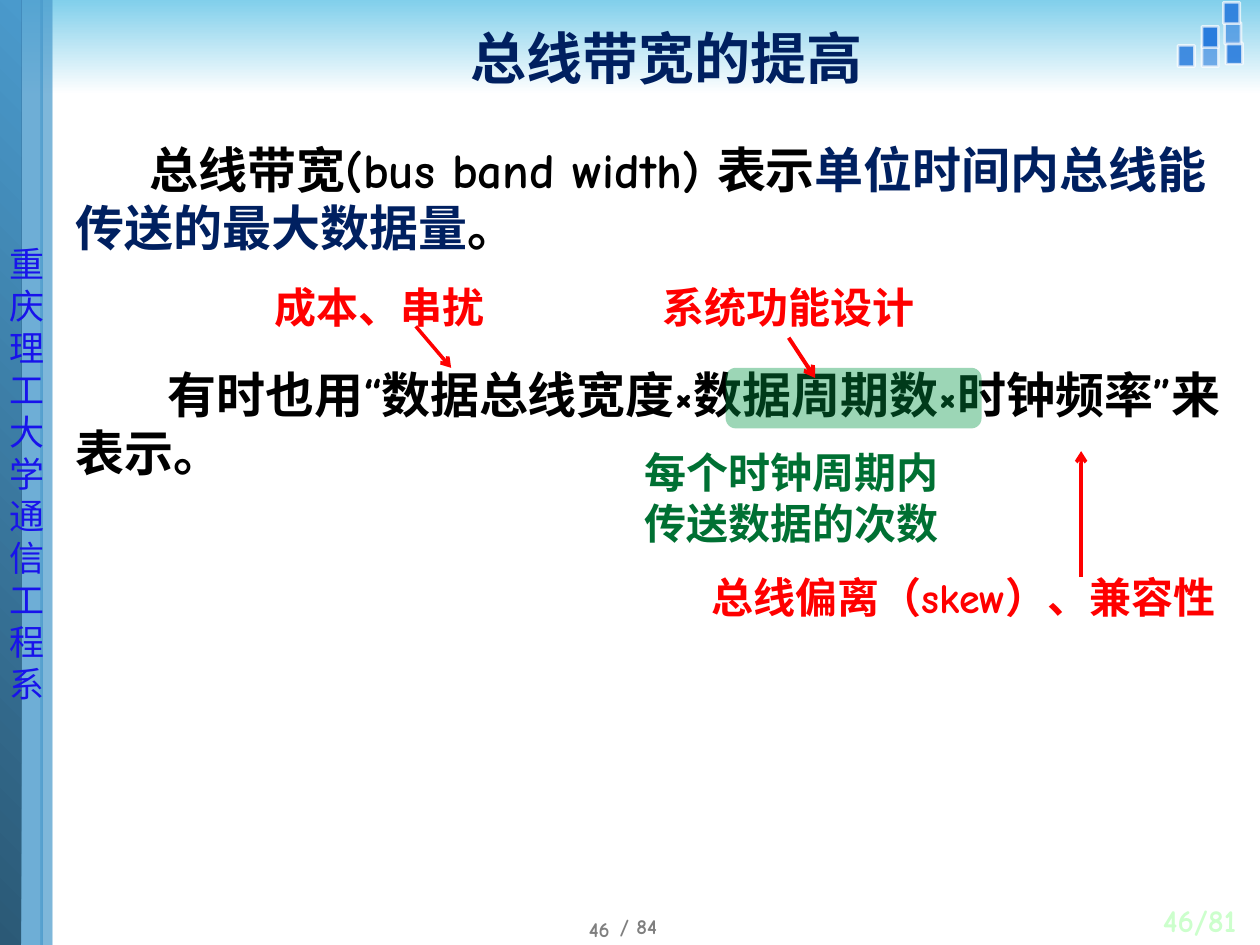
"""Build the slide on raising bus bandwidth."""
from dataclasses import dataclass
from typing import NamedTuple, Optional

from pptx import Presentation
from pptx.dml.color import RGBColor
from pptx.enum.shapes import MSO_CONNECTOR, MSO_SHAPE
from pptx.enum.text import MSO_ANCHOR, PP_ALIGN
from pptx.oxml.ns import qn
from pptx.util import Pt
from lxml.etree import SubElement


@dataclass(frozen=True)
class Theme:
    font: str = "Comic Neue"
    side_font: str = "Noto Sans CJK SC"
    sky: str = "81CFEB"
    white: str = "FFFFFF"
    tile: str = "297CDD"
    band: str = "4A9ACC"
    deep: str = "2B5976"
    side_ink: str = "1813EB"
    navy: str = "002060"
    black: str = "000000"
    red: str = "FF0000"
    green: str = "007033"
    highlight: str = "009644"
    grey: str = "7F7F7F"
    pale: str = "CCFFCC"
    title: float = 32
    body: float = 28
    note: float = 24
    side: float = 20
    count: float = 18
    page: float = 12


THEME = Theme()


class Box(NamedTuple):
    left: float
    top: float
    width: float
    height: float


class Span(NamedTuple):
    text: str
    color: str


@dataclass(frozen=True)
class Panel:
    box: Box
    color: str
    opacity: int = 100
    fade_to: Optional[str] = None
    angle: float = 0
    outline: Optional[str] = None
    rounded: bool = False


@dataclass(frozen=True)
class Label:
    box: Box
    paragraphs: tuple[tuple[Span, ...], ...]
    size: float
    font: str = THEME.font
    bold: bool = True
    align: PP_ALIGN = PP_ALIGN.LEFT
    anchor: MSO_ANCHOR = MSO_ANCHOR.TOP
    inset: tuple[float, float] = (7.2, 3.6)
    leading: Optional[float] = None
    indent: float = 0
    gap: float = 0
    wrap: bool = True


class Arrow(NamedTuple):
    start: tuple[float, float]
    end: tuple[float, float]
    weight: float


def points(values: tuple[float, ...]) -> list[Pt]:
    return [Pt(value) for value in values]


def set_opacity(parent, percent: int) -> None:
    for color in parent.iter(qn("a:srgbClr")):
        SubElement(color, qn("a:alpha")).set("val", str(percent * 1000))


def draw_panel(slide, panel: Panel) -> None:
    preset = MSO_SHAPE.ROUNDED_RECTANGLE if panel.rounded else MSO_SHAPE.RECTANGLE
    shape = slide.shapes.add_shape(preset, *points(panel.box))
    shape.shadow.inherit = False
    if panel.fade_to:
        shape.fill.gradient()
        shape.fill.gradient_angle = panel.angle
        for stop, color in zip(shape.fill.gradient_stops, (panel.color, panel.fade_to)):
            stop.color.rgb = RGBColor.from_string(color)
    else:
        shape.fill.solid()
        shape.fill.fore_color.rgb = RGBColor.from_string(panel.color)
        if panel.opacity < 100:
            set_opacity(shape._element.spPr, panel.opacity)
    if panel.outline:
        shape.line.color.rgb = RGBColor.from_string(panel.outline)
        shape.line.width = Pt(1.5)
        set_opacity(shape._element.spPr.find(qn("a:ln")), 70)
    else:
        shape.line.fill.background()


def draw_label(slide, label: Label) -> None:
    frame = slide.shapes.add_textbox(*points(label.box)).text_frame
    frame.word_wrap = label.wrap
    frame.vertical_anchor = label.anchor
    frame.margin_left = frame.margin_right = Pt(label.inset[0])
    frame.margin_top = frame.margin_bottom = Pt(label.inset[1])
    frame.text = "\n".join("" for _ in label.paragraphs)
    for index, (paragraph, spans) in enumerate(zip(frame.paragraphs, label.paragraphs)):
        paragraph.alignment = label.align
        if label.leading:
            paragraph.line_spacing = Pt(label.leading)
        if index and label.gap:
            paragraph.space_before = Pt(label.gap)
        if label.indent:
            paragraph._p.get_or_add_pPr().set("indent", str(Pt(label.indent)))
        for span in spans:
            run = paragraph.add_run()
            run.text = span.text
            run.font.name = label.font
            run.font.size = Pt(label.size)
            run.font.bold = label.bold
            run.font.color.rgb = RGBColor.from_string(span.color)
            SubElement(run._r.rPr, qn("a:ea")).set("typeface", label.font)


def draw_arrow(slide, arrow: Arrow) -> None:
    connector = slide.shapes.add_connector(
        MSO_CONNECTOR.STRAIGHT, *points(arrow.start + arrow.end))
    connector.line.color.rgb = RGBColor.from_string(THEME.red)
    connector.line.width = Pt(arrow.weight)
    properties = connector._element.spPr
    SubElement(properties.find(qn("a:ln")), qn("a:tailEnd")).set("type", "arrow")
    SubElement(properties, qn("a:effectLst"))


def note(box: Box, text: str, color: str, **options) -> Label:
    return Label(box, ((Span(text, color),),), THEME.note, leading=29, **options)


TILES = ((700.6, 24.5, 90), (686.9, 25.9, 60), (673.2, 25.9, 85),
         (686.9, 15.1, 100), (699.8, 13, 60), (699.1, 1.4, 90))

PANELS = (
    Panel(Box(0, 0, 720, 54), THEME.sky, fade_to=THEME.white, angle=270),
    *(Panel(Box(left, top, 9.4, 12.2), THEME.tile, opacity, outline=THEME.white)
      for left, top, opacity in TILES),
    Panel(Box(7.9, 0, 16.6, 540), THEME.band, 80),
    Panel(Box(0, 0, 12.2, 540), THEME.deep, fade_to=THEME.band, angle=45),
    Panel(Box(23, 0, 7.2, 540), THEME.band, 54),
    Panel(Box(23.8, 0, 5.8, 540), THEME.band, 37),
)

LABELS = (
    Label(Box(-1.4, 135, 50.4, 273.6),
          ((Span("重庆理工大学", THEME.side_ink),), (Span("通信工程系", THEME.side_ink),)),
          THEME.side, THEME.side_font, bold=False, leading=24),
    Label(Box(41.8, 5.8, 678.2, 54), ((Span("总线带宽的提高", THEME.navy),),),
          THEME.title, align=PP_ALIGN.CENTER, anchor=MSO_ANCHOR.MIDDLE),
    Label(Box(43.2, 80.6, 671, 404.6),
          ((Span("总线带宽(bus band width) 表示", THEME.black),
            Span("单位时间内总线能传送的最大数据量", THEME.navy), Span("。", THEME.black)),
           (Span(" 有时也用“数据总线宽度×数据周期数×时钟频率”来表示。", THEME.black),)),
          THEME.body, inset=(0, 0), leading=33, indent=42.5, gap=62.4),
    note(Box(149.8, 157, 145.4, 36), "成本、串扰", THEME.red, wrap=False),
    note(Box(366.5, 157, 168.5, 36), "系统功能设计", THEME.red, align=PP_ALIGN.CENTER),
    note(Box(361.4, 251.3, 192.2, 65.5), "每个时钟周期内传送数据的次数", THEME.green),
    note(Box(399.6, 322.6, 314.6, 36), "总线偏离（skew）、兼容性", THEME.red, wrap=False),
    Label(Box(318.2, 522, 30.2, 18), ((Span("46", THEME.grey),),), THEME.page,
          align=PP_ALIGN.RIGHT, anchor=MSO_ANCHOR.MIDDLE, inset=(0, 0)),
    Label(Box(354.2, 522, 30.2, 18), ((Span("/ 84", THEME.grey),),), THEME.page,
          inset=(0, 0)),
    Label(Box(640, 512, 66.5, 27), ((Span("46/81", THEME.pale),),), THEME.count,
          align=PP_ALIGN.RIGHT, anchor=MSO_ANCHOR.MIDDLE, inset=(0, 0)),
)

HIGHLIGHT = Panel(Box(414.7, 210.2, 146.2, 34.6), THEME.highlight, 39, rounded=True)

ARROWS = (
    Arrow((237.6, 186.5), (257.8, 210.2), 2),
    Arrow((450.7, 193), (465.8, 216), 2.25),
    Arrow((617.8, 329.8), (617.8, 257.8), 2),
)


def main() -> None:
    deck = Presentation()
    deck.slide_width, deck.slide_height = Pt(720), Pt(540)
    slide = deck.slides.add_slide(deck.slide_layouts[6])
    for panel in PANELS:
        draw_panel(slide, panel)
    for label in LABELS:
        draw_label(slide, label)
    draw_panel(slide, HIGHLIGHT)
    for arrow in ARROWS:
        draw_arrow(slide, arrow)
    deck.save("out.pptx")


if __name__ == "__main__":
    main()
